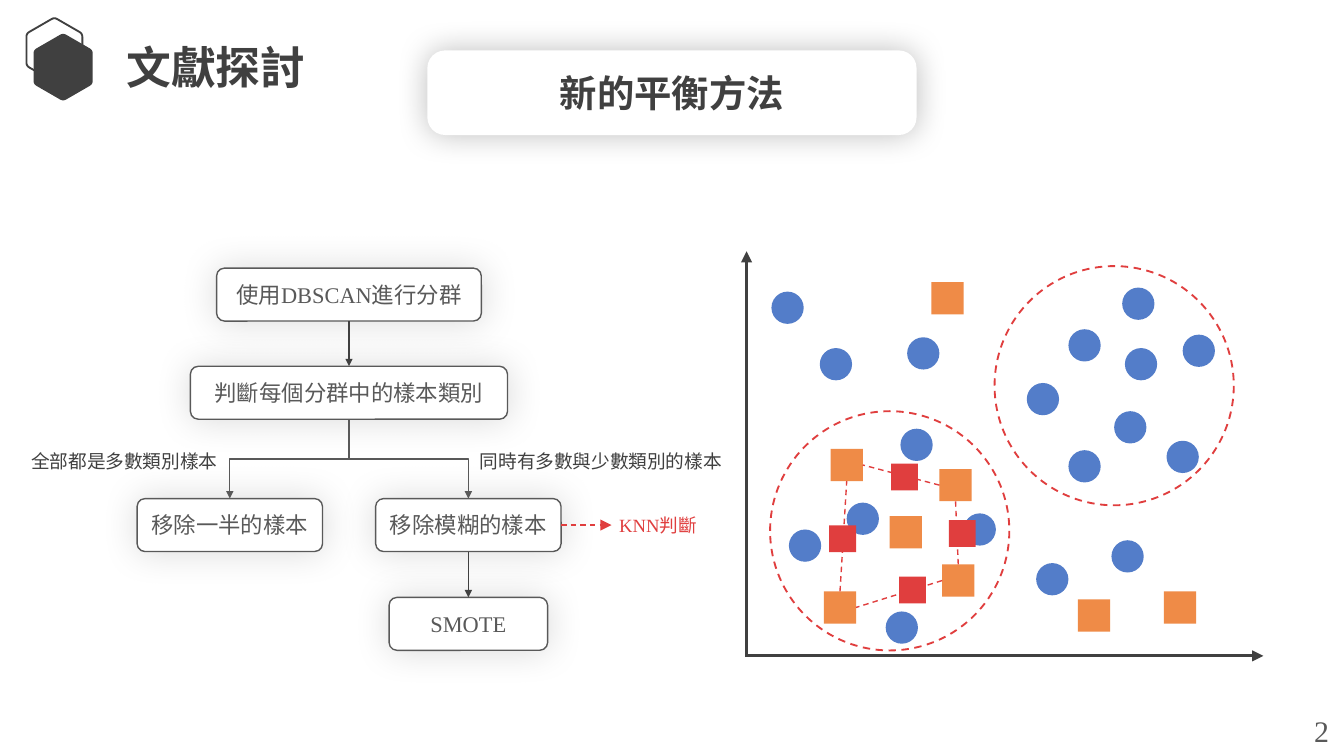
from dataclasses import dataclass
from math import cos, radians, sin

from lxml import etree
from pptx import Presentation
from pptx.dml.color import RGBColor
from pptx.enum.dml import MSO_LINE
from pptx.enum.shapes import MSO_CONNECTOR, MSO_SHAPE
from pptx.enum.text import MSO_ANCHOR, PP_ALIGN
from pptx.oxml.ns import qn
from pptx.util import Inches, Pt

ROUNDED, OVAL, SQUARE = MSO_SHAPE.ROUNDED_RECTANGLE, MSO_SHAPE.OVAL, MSO_SHAPE.RECTANGLE
STRAIGHT, ELBOW = MSO_CONNECTOR.STRAIGHT, MSO_CONNECTOR.ELBOW
LEFT, CENTER = PP_ALIGN.LEFT, PP_ALIGN.CENTER
TOP_ANCHOR, MIDDLE = MSO_ANCHOR.TOP, MSO_ANCHOR.MIDDLE
DASH = MSO_LINE.DASH
TOP_SIDE, LEFT_SIDE, BOTTOM_SIDE, RIGHT_SIDE = range(4)


@dataclass(frozen=True)
class Theme:
    font: str = "Times New Roman"
    dark: str = "404040"
    gray: str = "595959"
    white: str = "FFFFFF"
    red: str = "E03E3E"
    orange: str = "EF8B47"
    blue: str = "537DC9"
    shadow: str = "000000"
    title: int = 24
    banner: int = 20
    number: int = 16
    step: int = 12
    label: int = 10


theme = Theme()
presentation = Presentation()
presentation.slide_width = Inches(10)
presentation.slide_height = presentation.slide_width * 9 // 16
CELL = presentation.slide_width // 100
slide = presentation.slides.add_slide(presentation.slide_layouts[6])
shapes = slide.shapes


def draw_shape(kind, box, fill=None, line=None, width=0.75, corner=0.15, shadow=None):
    shape = shapes.add_shape(kind, *(round(value * CELL) for value in box))
    shape.shadow.inherit = False
    if kind == ROUNDED:
        shape.adjustments[0] = corner
    if fill:
        shape.fill.solid()
        shape.fill.fore_color.rgb = RGBColor.from_string(fill)
    else:
        shape.fill.background()
    if line:
        shape.line.color.rgb = RGBColor.from_string(line)
        shape.line.width = Pt(width)
    else:
        shape.line.fill.background()
    if shadow:
        opacity, blur = shadow
        effects = shape._element.spPr.find(qn("a:effectLst"))
        outer = etree.SubElement(effects, qn("a:outerShdw"), blurRad=str(Pt(blur)),
                                 dist="0", dir="0", algn="ctr", rotWithShape="0")
        colour = etree.SubElement(outer, qn("a:srgbClr"), val=theme.shadow)
        etree.SubElement(colour, qn("a:alpha"), val=str(opacity * 1000))
    return shape


def draw_line(start, end, colour, width=0.75, kind=STRAIGHT, dash=None, arrow="med"):
    line = shapes.add_connector(kind, 0, 0, 0, 0)
    if isinstance(start[0], (int, float)):
        line.begin_x, line.begin_y = (round(value * CELL) for value in start)
        line.end_x, line.end_y = (round(value * CELL) for value in end)
    else:
        line.begin_connect(*start)
        line.end_connect(*end)
    line.line.color.rgb = RGBColor.from_string(colour)
    line.line.width = Pt(width)
    if dash:
        line.line.dash_style = dash
    properties = line._element.spPr
    if arrow:
        etree.SubElement(properties.find(qn("a:ln")), qn("a:tailEnd"),
                         type="triangle", w=arrow, len=arrow)
    etree.SubElement(properties, qn("a:effectLst"))
    return line


for center_x, center_y, radius, filled in [(40.5, 37, 24, False), (47, 50, 25.4, True)]:
    corners = [(center_x + radius * cos(radians(angle)), center_y + radius * sin(radians(angle)))
               for angle in range(30, 390, 60)]
    outline = []
    for index, corner in enumerate(corners):
        before, after = corners[index - 1], corners[(index + 1) % 6]
        for share in (0, 0.25, 0.5, 0.75, 1):
            outline.append(tuple(
                round((c + 0.1 * (1 - share) ** 2 * (b - c) + 0.1 * share ** 2 * (a - c)) * CELL / 10)
                for b, c, a in zip(before, corner, after)))
    builder = shapes.build_freeform(*outline[0])
    builder.add_line_segments(outline[1:], close=True)
    hexagon = builder.convert_to_shape()
    hexagon.shadow.inherit = False
    if filled:
        hexagon.fill.solid()
        hexagon.fill.fore_color.rgb = RGBColor.from_string(theme.dark)
        hexagon.line.fill.background()
    else:
        hexagon.fill.background()
        hexagon.line.color.rgb = RGBColor.from_string(theme.dark)
        hexagon.line.width = Pt(1)

title = shapes.add_textbox(*(round(value * CELL) for value in (8.7, 2.55, 21.3, 4.8)))
number = shapes.add_textbox(*(round(value * CELL) for value in (96.8, 52.55, 3.1, 3.7)))
banner = draw_shape(ROUNDED, (31.8, 3.75, 36.4, 6.3), theme.white, corner=0.21, shadow=(25, 17))

texts = [
    (title, "文獻探討", theme.title, theme.dark, True, LEFT, TOP_ANCHOR, (0.7, 0.4)),
    (number, "2", theme.number, theme.gray, False, LEFT, TOP_ANCHOR, (1, 0.5)),
    (banner, "新的平衡方法", theme.banner, theme.dark, True, CENTER, MIDDLE, (1, 0.5)),
]

STEP_HEIGHT = 3.94
steps = []
for center, top, width, text in [
    (25.97, 19.95, 19.7, "使用DBSCAN進行分群"),
    (25.97, 27.25, 23.6, "判斷每個分群中的樣本類別"),
    (17.1, 37.1, 13.8, "移除一半的樣本"),
    (34.85, 37.1, 13.8, "移除模糊的樣本"),
    (34.85, 44.45, 11.8, "SMOTE"),
]:
    step = draw_shape(ROUNDED, (center - width / 2, top, width, STEP_HEIGHT),
                      theme.white, theme.gray, shadow=(15, 20))
    steps.append(step)
    texts.append((step, text, theme.step, theme.gray, False, CENTER, MIDDLE, (0.4, 0.4)))

for left, top, width, text, colour, align in [
    (0.4, 32.3, 17.7, "全部都是多數類別樣本", theme.dark, CENTER),
    (33.85, 32.3, 21.7, "同時有多數與少數類別的樣本", theme.dark, CENTER),
    (45.5, 37.1, 9.8, "KNN判斷", theme.red, LEFT),
]:
    label = draw_shape(ROUNDED, (left, top, width, STEP_HEIGHT))
    texts.append((label, text, theme.label, colour, False, align, MIDDLE, (0.4, 0.4)))

cluster, check, remove_half, remove_vague, smote = steps
draw_line((cluster, BOTTOM_SIDE), (check, TOP_SIDE), theme.dark, arrow="sm")
draw_line((remove_vague, BOTTOM_SIDE), (smote, TOP_SIDE), theme.dark, arrow="sm")
draw_line((remove_vague, RIGHT_SIDE), (label, LEFT_SIDE), theme.red, dash=DASH)

for branch, turn, flip in [(remove_half, 90, "0"), (remove_vague, 270, "1")]:
    elbow = draw_line((check, BOTTOM_SIDE), (branch, TOP_SIDE), theme.gray, kind=ELBOW, arrow="sm")
    start_x, end_x = check.left + check.width // 2, branch.left + branch.width // 2
    start_y, end_y = check.top + check.height, branch.top
    run, drop = abs(end_x - start_x), end_y - start_y
    elbow.left, elbow.top = (start_x + end_x - drop) // 2, (start_y + end_y - run) // 2
    elbow.width, elbow.height = drop, run
    frame = elbow._element.spPr.find(qn("a:xfrm"))
    frame.set("rot", str(turn * 60000))
    frame.set("flipH", flip)
    frame.set("flipV", "0")

draw_line((55.5, 48.8), (94, 48.8), theme.dark, 1.5)
draw_line((55.55, 48.9), (55.55, 18.7), theme.dark, 1.5)

SAMPLE, SYNTHETIC, CLUSTER = 2.4, 2, 17.8
for left, top in [
    (63, 37.4), (82.9, 30.6), (76.4, 28.5), (71.7, 38.2), (79.5, 24.5), (79.5, 33.5),
    (83.5, 21.4), (65.9, 45.5), (86.8, 32.8), (88, 24.9), (57.4, 21.7), (67, 31.9),
    (58.7, 39.4), (61, 25.9), (67.5, 25.1), (82.7, 40.2), (77.1, 41.9), (83.7, 25.9),
]:
    draw_shape(OVAL, (left, top, SAMPLE, SAMPLE), theme.blue)

minority = [draw_shape(SQUARE, (left, top, SAMPLE, SAMPLE), theme.orange) for left, top in [
    (61.8, 33.4), (69.9, 34.9), (70.1, 42), (61.3, 44),
    (66.2, 38.4), (86.6, 44), (80.2, 44.6), (69.3, 21),
]]
for left, top in [(57.3, 30.6), (74, 19.8)]:
    region = draw_shape(OVAL, (left, top, CLUSTER, CLUSTER), line=theme.red, width=1)
    region.line.dash_style = DASH

upper_left, upper_right, lower_right, lower_left = minority[:4]
for start, end in [
    ((lower_left, TOP_SIDE), (upper_left, BOTTOM_SIDE)),
    ((upper_right, LEFT_SIDE), (upper_left, RIGHT_SIDE)),
    ((lower_right, TOP_SIDE), (upper_right, BOTTOM_SIDE)),
    ((lower_right, LEFT_SIDE), (lower_left, RIGHT_SIDE)),
]:
    draw_line(start, end, theme.red, dash=DASH, arrow=None)
for left, top in [(61.7, 39.1), (66.3, 34.5), (70.6, 38.7), (66.9, 42.9)]:
    draw_shape(SQUARE, (left, top, SYNTHETIC, SYNTHETIC), theme.red)

for shape, text, size, colour, bold, align, anchor, (side, edge) in texts:
    text_frame = shape.text_frame
    text_frame.text = text
    text_frame.word_wrap = shape is not number
    text_frame.vertical_anchor = anchor
    text_frame.margin_left = text_frame.margin_right = round(side * CELL)
    text_frame.margin_top = text_frame.margin_bottom = round(edge * CELL)
    paragraph = text_frame.paragraphs[0]
    paragraph.alignment = align
    font = paragraph.runs[0].font
    font.name, font.size, font.bold = theme.font, Pt(size), bold
    font.color.rgb = RGBColor.from_string(colour)

presentation.save("out.pptx")
